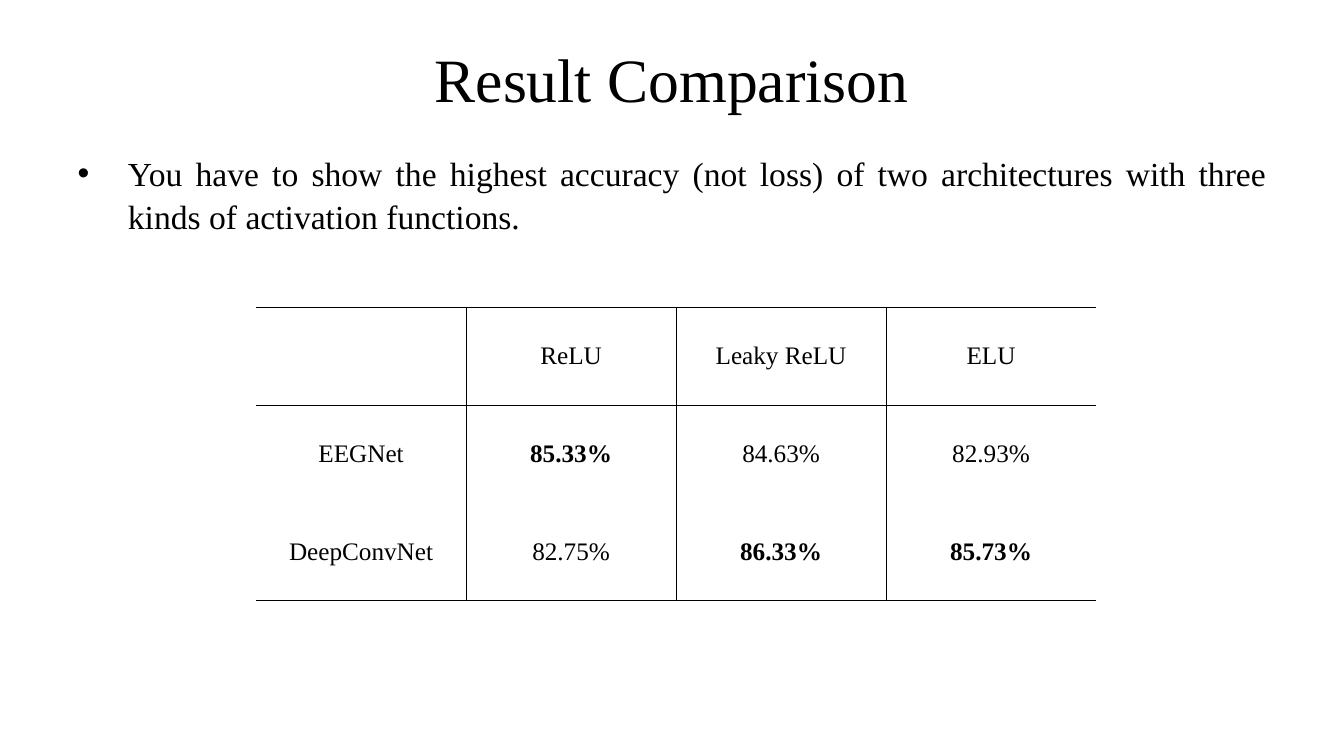
from lxml.etree import SubElement
from pptx import Presentation
from pptx.dml.color import RGBColor
from pptx.enum.text import MSO_ANCHOR, PP_ALIGN
from pptx.oxml.ns import qn
from pptx.util import Inches, Pt

COLORS = {"ink": "000000", "paper": "FFFFFF"}
FONT = "Times New Roman"
ACTIVATIONS = ["ReLU", "Leaky ReLU", "ELU"]
ACCURACY = {
    "EEGNet": [85.33, 84.63, 82.93],
    "DeepConvNet": [82.75, 86.33, 85.73],
}


class SlideBuilder:
    """Draw styled elements on a slide measured in percent of its size."""

    def __init__(self, deck):
        self.deck = deck
        self.page = deck.slides.add_slide(deck.slide_layouts[6])
        self.page.background.fill.solid()
        self.page.background.fill.fore_color.rgb = RGBColor.from_string(COLORS["paper"])

    def place(self, left, top, width, height):
        column = self.deck.slide_width / 100
        row = self.deck.slide_height / 100
        return [round(value) for value in (left * column, top * row, width * column, height * row)]

    def fill_text(self, frame, text, size, bold=False, **paragraph_format):
        para = frame.paragraphs[0]
        for name, value in paragraph_format.items():
            setattr(para, name, value)
        span = para.add_run()
        span.text = text
        for name, value in {"name": FONT, "size": Pt(size), "bold": bold}.items():
            setattr(span.font, name, value)
        span.font.color.rgb = RGBColor.from_string(COLORS["ink"])
        return para

    def text(self, area, text, size, anchor, **paragraph_format):
        frame = self.page.shapes.add_textbox(*self.place(*area)).text_frame
        for name, value in {"word_wrap": True, "vertical_anchor": anchor}.items():
            setattr(frame, name, value)
        return self.fill_text(frame, text, size, **paragraph_format)

    def bullet(self, area, text, size, **paragraph_format):
        para = self.text(area, text, size, MSO_ANCHOR.TOP, **paragraph_format)
        properties = para._p.get_or_add_pPr()
        for name, value in {"marL": Inches(0.5), "indent": Inches(-0.5)}.items():
            properties.set(name, str(value))
        bullet_color = SubElement(properties, qn("a:buClr"))
        SubElement(bullet_color, qn("a:srgbClr"), val=COLORS["ink"])
        SubElement(properties, qn("a:buFont"), typeface="Arial")
        SubElement(properties, qn("a:buChar"), char="•")

    def border(self, cell, visible):
        properties = cell._tc.get_or_add_tcPr()
        for side in "LRTB":
            line = SubElement(properties, qn(f"a:ln{side}"), w=str(Pt(1)))
            if side in visible:
                fill = SubElement(line, qn("a:solidFill"))
                SubElement(fill, qn("a:srgbClr"), val=COLORS["ink"])
            else:
                SubElement(line, qn("a:noFill"))

    def table(self, area, rows, bold_cells, size):
        last_row, last_column = len(rows) - 1, len(rows[0]) - 1
        table = self.page.shapes.add_table(len(rows), len(rows[0]), *self.place(*area)).table
        for name in ("first_row", "horz_banding"):
            setattr(table, name, False)
        for row, values in enumerate(rows):
            for column, text in enumerate(values):
                cell = table.cell(row, column)
                cell.vertical_anchor = MSO_ANCHOR.MIDDLE
                sides = {
                    "L": column > 0,
                    "R": column < last_column,
                    "T": row <= 1,
                    "B": row in (0, last_row),
                }
                self.border(cell, [side for side, shown in sides.items() if shown])
                cell.fill.background()
                if text:
                    self.fill_text(cell.text_frame, text, size, (row, column) in bold_cells,
                                   alignment=PP_ALIGN.CENTER)


def main():
    deck = Presentation()
    deck.slide_width, deck.slide_height = Inches(13.33), Inches(7.5)
    slide = SlideBuilder(deck)
    slide.text((0, 0.13, 100, 21.47), "Result Comparison", 44, MSO_ANCHOR.MIDDLE,
               alignment=PP_ALIGN.CENTER, line_spacing=0.9)
    slide.bullet((5.03, 19.2, 89.95, 18.27),
                 "You have to show the highest accuracy (not loss) of two architectures "
                 "with three kinds of activation functions.",
                 24, alignment=PP_ALIGN.JUSTIFY, line_spacing=1.07)
    rows = [["", *ACTIVATIONS]]
    rows += [[network, *(f"{value:.2f}%" for value in values)]
             for network, values in ACCURACY.items()]
    best = {(scores.index(max(scores)) + 1, column)
            for column, scores in enumerate(zip(*ACCURACY.values()), 1)}
    slide.table((19.06, 40.67, 62.5, 38.8), rows, best, 18)
    deck.save("out.pptx")


if __name__ == "__main__":
    main()
